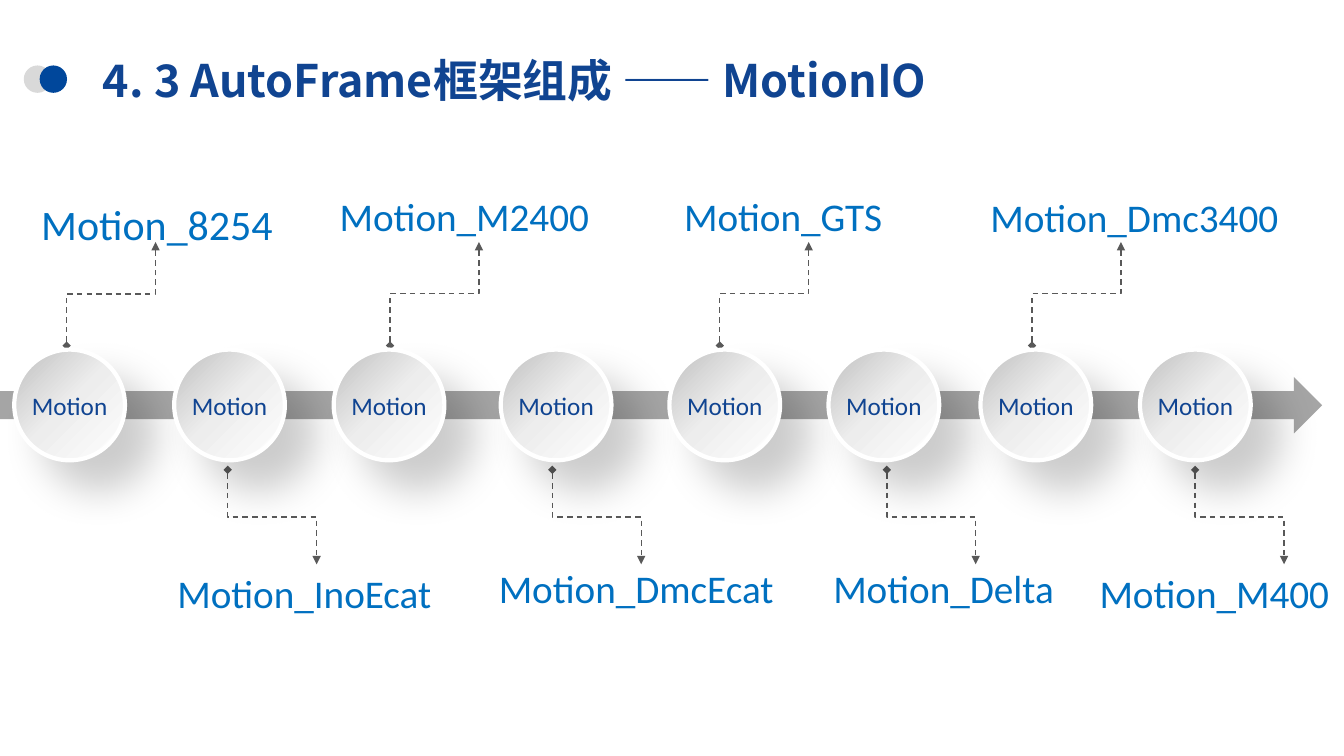
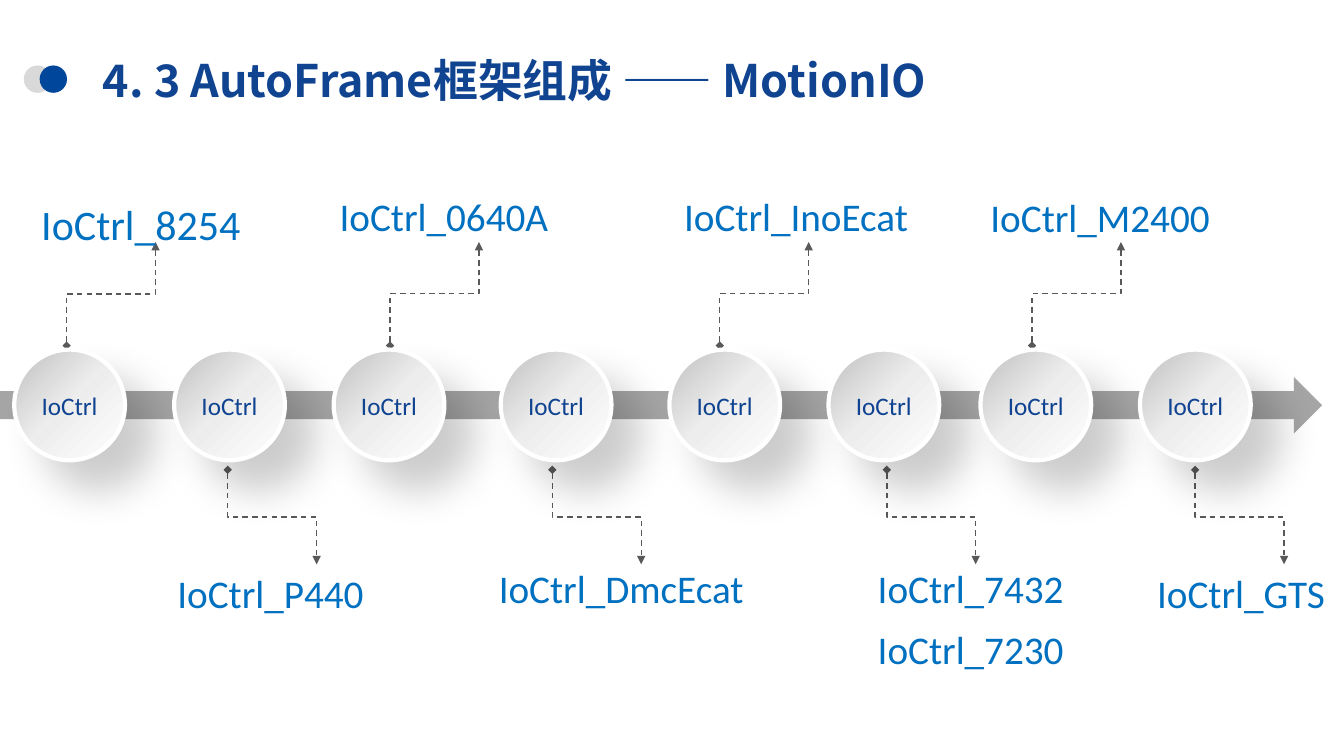
from lxml.etree import SubElement
from pptx import Presentation
from pptx.dml.color import RGBColor
from pptx.enum.dml import MSO_LINE
from pptx.enum.shapes import MSO_CONNECTOR, MSO_SHAPE
from pptx.enum.text import MSO_ANCHOR, MSO_AUTO_SIZE, PP_ALIGN
from pptx.oxml.ns import qn
from pptx.util import Cm, Pt

COLORS = {
    "title": "104491",
    "label": "0070C0",
    "dot_back": "D9D9D9",
    "dot_front": "00479B",
    "arrow": "A5A5A5",
    "leader": "595959",
    "ring": "FFFFFF",
    "shadow": "000000",
}
BALL_GRADIENT = [(0, "C0C0C0"), (49, "EDEDED"), (100, "FFFFFF")]
BODY_FONT, TITLE_FONT = "Calibri", "Noto Sans CJK SC"
TITLE = "4. 3 AutoFrame框架组成 —— MotionIO"

# Each station, in cm from the timeline's corner: ball left, leader x, label top.
# Stations alternate between labels above and below the arrow.
STATIONS = [
    (0.36, 1.68, 0),
    (4.39, 5.74, 9.72),
    (8.41, 9.83, 0.22),
    (12.62, 13.92, 9.6),
    (16.87, 18.14, 0.22),
    (20.88, 22.35, 9.6),
    (24.71, 26.01, 0.25),
    (28.73, 30.12, 9.72),
]
BALL_SIZE = 2.79

# Ball text, then label left, label width and label lines for each station
TIMELINES = [
    ("Motion", [
        (0.79, 7, ["Motion_8254"]),
        (4.22, 7, ["Motion_InoEcat"]),
        (8.31, 7, ["Motion_M2400"]),
        (12.32, 7.75, ["Motion_DmcEcat"]),
        (16.99, 5.72, ["Motion_GTS"]),
        (20.75, 7, ["Motion_Delta"]),
        (24.71, 8.36, ["Motion_Dmc3400"]),
        (27.46, 6.58, ["Motion_M400"]),
    ]),
    ("IoCtrl", [
        (0.79, 7, ["IoCtrl_8254"]),
        (4.22, 7, ["IoCtrl_P440"]),
        (8.31, 7, ["IoCtrl_0640A"]),
        (12.32, 7.75, ["IoCtrl_DmcEcat"]),
        (16.99, 6.25, ["IoCtrl_InoEcat"]),
        (21.87, 5.23, ["IoCtrl_7432", "IoCtrl_7230"]),
        (24.71, 8.36, ["IoCtrl_M2400"]),
        (28.91, 4.9, ["IoCtrl_GTS"]),
    ]),
]


def rgb(name):
    return RGBColor.from_string(COLORS[name])


def set_font(paragraph, name, size, color, bold=False):
    font = paragraph.font
    font.name, font.size, font.bold = name, Pt(size), bold
    font.color.rgb = rgb(color)


def add_filled(slide, kind, left, top, width, height, color):
    shape = slide.shapes.add_shape(kind, Cm(left), Cm(top), Cm(width), Cm(height))
    shape.shadow.inherit = False
    shape.fill.solid()
    shape.fill.fore_color.rgb = rgb(color)
    shape.line.fill.background()
    return shape


def add_master_dots(slide, master, left, top):
    """Draw the two title dots once, on the master."""
    for offset, color in ((0, "dot_back"), (0.4, "dot_front")):
        dot = add_filled(slide, MSO_SHAPE.OVAL, left + offset, top, 0.69, 0.69, color)
        master.shapes._spTree.append(dot._element)


def set_title(slide, left, top, width, height):
    title = slide.shapes.title
    title.left, title.top = Cm(left), Cm(top)
    title.width, title.height = Cm(width), Cm(height)
    frame = title.text_frame
    frame.text = TITLE
    frame.auto_size = MSO_AUTO_SIZE.NONE
    frame.vertical_anchor = MSO_ANCHOR.MIDDLE
    paragraph = frame.paragraphs[0]
    paragraph.alignment = PP_ALIGN.LEFT
    set_font(paragraph, TITLE_FONT, 32, "title", bold=True)
    # East Asian face for the Chinese characters
    latin = paragraph._p.find(".//" + qn("a:latin"))
    east_asian = latin.makeelement(qn("a:ea"), {"typeface": TITLE_FONT})
    latin.addnext(east_asian)


def add_leader(slide, x, start, end, run=2.24):
    """Dashed elbow that leaves vertically: a turned connector about its centre."""
    center_x, center_y = x + run / 2, (start + end) / 2
    reach = abs(end - start) / 2
    side = run / 2 if end < start else -run / 2
    leader = slide.shapes.add_connector(
        MSO_CONNECTOR.ELBOW,
        Cm(center_x + reach), Cm(center_y + side),
        Cm(center_x - reach), Cm(center_y - side))
    leader.line.color.rgb = rgb("leader")
    leader.line.width = Pt(1)
    leader.line.dash_style = MSO_LINE.DASH
    properties = leader._element.spPr
    turn = 90 if end < start else 270
    properties.find(qn("a:xfrm")).set("rot", str(turn * 60000))
    line = properties.find(qn("a:ln"))
    SubElement(line, qn("a:headEnd"), type="diamond")
    SubElement(line, qn("a:tailEnd"), type="triangle")
    SubElement(properties, qn("a:effectLst"))


def add_ball(slide, left, top, text):
    ball = add_filled(slide, MSO_SHAPE.OVAL, left, top, BALL_SIZE, BALL_SIZE, "ring")
    ball.line.color.rgb = rgb("ring")
    ball.line.width = Pt(3)
    # Three-stop gradient, light towards the lower right
    ball.fill.gradient()
    ball.fill.gradient_angle = 315
    properties = ball._element.spPr
    stops = properties.find(".//" + qn("a:gsLst"))
    for stop in list(stops):
        stops.remove(stop)
    for position, color in BALL_GRADIENT:
        stop = SubElement(stops, qn("a:gs"), pos=str(position * 1000))
        SubElement(stop, qn("a:srgbClr"), val=color)
    # Soft shadow
    distance = str(Pt(29))
    shadow = SubElement(properties.find(qn("a:effectLst")), qn("a:outerShdw"),
                        blurRad=distance, dist=distance, dir="2700000",
                        algn="tl", rotWithShape="0")
    shade = SubElement(shadow, qn("a:srgbClr"), val=COLORS["shadow"])
    SubElement(shade, qn("a:alpha"), val="20000")
    # Text
    frame = ball.text_frame
    frame.margin_left = frame.margin_right = 0
    frame.vertical_anchor = MSO_ANCHOR.MIDDLE
    frame.text = text
    frame.paragraphs[0].alignment = PP_ALIGN.CENTER
    set_font(frame.paragraphs[0], BODY_FONT, 18, "title")


def add_label(slide, left, top, width, lines, first):
    height = 1.93 if first else 1.45 + 1.54 * (len(lines) - 1)
    box = slide.shapes.add_textbox(Cm(left), Cm(top), Cm(width), Cm(height))
    frame = box.text_frame
    frame.word_wrap = True
    frame.auto_size = MSO_AUTO_SIZE.SHAPE_TO_FIT_TEXT
    frame.text = "\n".join(lines)
    for paragraph in frame.paragraphs:
        if first:
            paragraph.line_spacing = 1.3
        else:
            paragraph.space_after = Pt(9.8)
        set_font(paragraph, BODY_FONT, 30 if first else 28, "label")


def add_timeline(slide, left, top, width, ball_text, labels):
    add_filled(slide, MSO_SHAPE.RIGHT_ARROW, left, top + 5, width, 1.42, "arrow")
    for index, (station, label) in enumerate(zip(STATIONS, labels)):
        ball_left, leader_x, label_top = station
        label_left, label_width, lines = label
        start, end = (4.21, 1.6) if index % 2 == 0 else (7.34, 9.72)
        add_leader(slide, left + leader_x, top + start, top + end)
        add_ball(slide, left + ball_left, top + 4.31, ball_text)
        add_label(slide, left + label_left, top + label_top, label_width,
                  lines, first=index == 0)


def main():
    presentation = Presentation()
    presentation.slide_width, presentation.slide_height = Cm(33.87), Cm(19.05)
    layout = presentation.slide_layouts.get_by_name("Title Only")
    for number, (ball_text, labels) in enumerate(TIMELINES):
        slide = presentation.slides.add_slide(layout)
        if number == 0:
            add_master_dots(slide, presentation.slide_master, 0.6, 1.65)
        set_title(slide, 2.34, 1.02, 29.2, 1.96)
        add_timeline(slide, 0, 4.5, 33.32, ball_text, labels)
    presentation.save("out.pptx")


if __name__ == "__main__":
    main()
